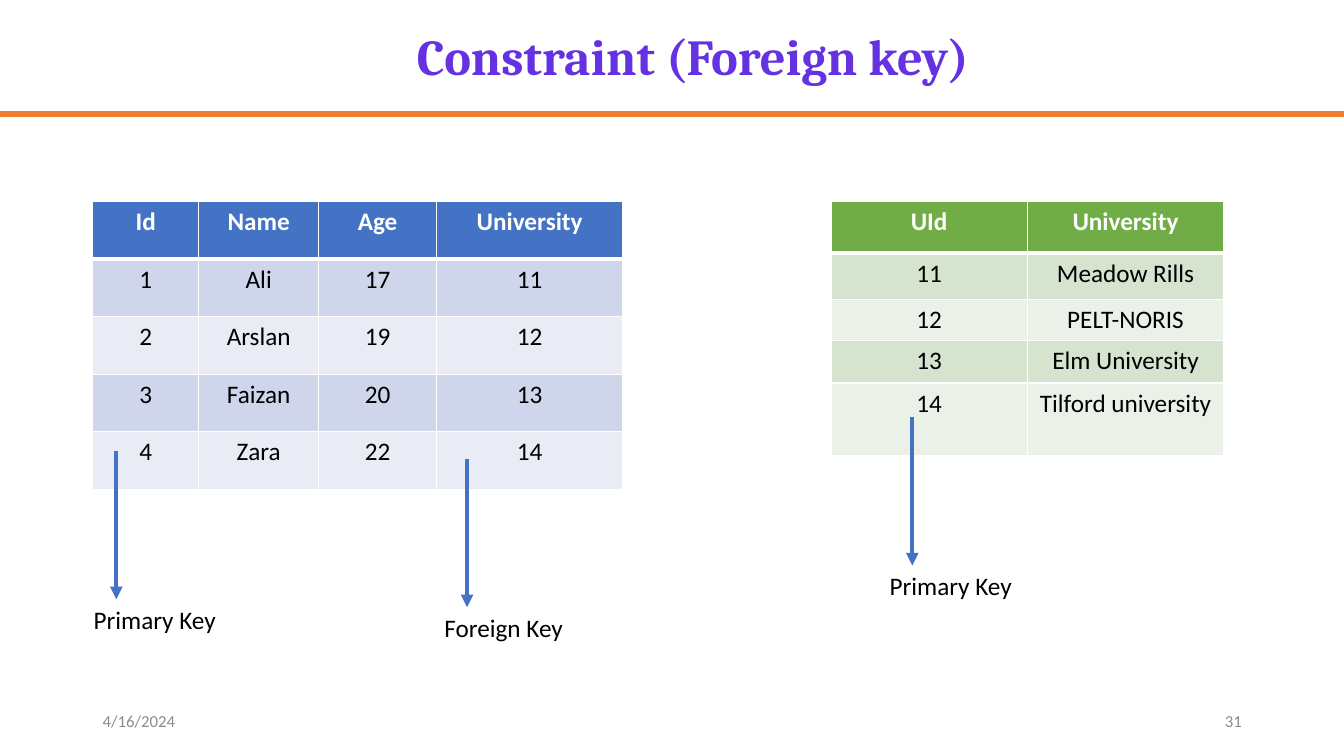
from pptx import Presentation
from pptx.dml.color import RGBColor
from pptx.enum.shapes import MSO_CONNECTOR as Link
from pptx.enum.text import MSO_ANCHOR as Anchor, MSO_AUTO_SIZE as Fit, PP_ALIGN as Align
from pptx.oxml import parse_xml
from pptx.oxml.ns import nsdecls
from pptx.util import Cm, Pt

BLUE, GREEN, ORANGE, VIOLET = "4472C4", "70AD47", "ED7D31", "6432E2"
WHITE, BLACK, GREY = "FFFFFF", "000000", "8C8C8C"


def tint(code):
    return RGBColor.from_string(code)


class Board:
    def __init__(self, slide, font="Calibri", size=18):
        self.slide, self.font, self.size = slide, font, size

    def style(self, frame, color, size=None, font=None, bold=False, align=Align.LEFT):
        for para in frame.paragraphs:
            para.alignment = align
            for run in para.runs:
                run.font.name = font or self.font
                run.font.size = Pt(size or self.size)
                run.font.bold = bold
                run.font.color.rgb = tint(color)

    def title(self, text, left, top, width, height):
        head = self.slide.shapes.title
        head.left, head.top, head.width, head.height = map(Cm, (left, top, width, height))
        frame = head.text_frame
        frame.text = text
        frame.auto_size = Fit.NONE
        frame.vertical_anchor = Anchor.MIDDLE
        frame.paragraphs[0].line_spacing = 0.9
        self.style(frame, VIOLET, 36, "Cambria", True, Align.CENTER)

    def text(self, text, left, top, width, color=BLACK, size=None,
             align=Align.LEFT, anchor=Anchor.TOP):
        box = self.slide.shapes.add_textbox(Cm(left), Cm(top), Cm(width), Cm(1.02))
        frame = box.text_frame
        frame.word_wrap = True
        frame.vertical_anchor = anchor
        frame.text = text
        self.style(frame, color, size, align=align)

    def line(self, start, end, color, weight, arrow=False):
        link = self.slide.shapes.add_connector(Link.STRAIGHT, *map(Cm, start + end))
        link.line.color.rgb = tint(color)
        link.line.width = Pt(weight)
        if arrow:
            link.line._get_or_add_ln().append(
                parse_xml(f'<a:tailEnd {nsdecls("a")} type="triangle"/>'))
        link._element.spPr.append(parse_xml(f'<a:effectLst {nsdecls("a")}/>'))

    def edges(self, cell, row):
        """Draw white cell borders, thick below the header row."""
        thick = {(0, "B"), (1, "T")}
        for spot, side in enumerate("LRTB"):
            width = Pt(3 if (row, side) in thick else 1)
            cell._tc.get_or_add_tcPr().insert(spot, parse_xml(
                f'<a:ln{side} {nsdecls("a")} w="{width}"><a:solidFill>'
                f'<a:srgbClr val="{WHITE}"/></a:solidFill></a:ln{side}>'))

    def table(self, data, left, top, widths, heights, fills):
        """Fill a table; fills holds the header, odd and even row colours."""
        head, odd, even = fills
        grid = self.slide.shapes.add_table(
            len(data), len(widths), Cm(left), Cm(top),
            Cm(sum(widths)), Cm(sum(heights))).table
        for col, width in zip(grid.columns, widths):
            col.width = Cm(width)
        for r, (line, height) in enumerate(zip(data, heights)):
            grid.rows[r].height = Cm(height)
            for c, text in enumerate(line):
                cell = grid.cell(r, c)
                cell.text = text
                cell.fill.solid()
                cell.fill.fore_color.rgb = tint(head if r == 0 else odd if r % 2 else even)
                self.edges(cell, r)
                self.style(cell.text_frame, BLACK if r else WHITE,
                           bold=r == 0, align=Align.CENTER)

    def key(self, text, left, top):
        """Label a key column with an arrow that comes down to the label."""
        self.text(text, left, top, 3.86)
        x = left + 0.82
        self.line((x, top - 3.73), (x, top), BLUE, 3, arrow=True)


def main():
    deck = Presentation()
    deck.slide_width, deck.slide_height = Cm(33.87), Cm(19.05)
    board = Board(deck.slides.add_slide(deck.slide_layouts[5]))

    board.line((0, 2.87), (33.87, 2.87), ORANGE, 4.5)
    board.text("4/16/2024", 2.34, 17.65, 7.62, GREY, 12, anchor=Anchor.MIDDLE)
    board.text("31", 23.93, 17.65, 7.62, GREY, 12, Align.RIGHT, Anchor.MIDDLE)
    board.title("Constraint (Foreign key)", 2.86, 0.38, 29.21, 2.24)

    people = [
        ("Id", "Name", "Age", "University"),
        ("1", "Ali", "17", "11"),
        ("2", "Arslan", "19", "12"),
        ("3", "Faizan", "20", "13"),
        ("4", "Zara", "22", "14"),
    ]
    schools = [
        ("UId", "University"),
        ("11", "Meadow Rills"),
        ("12", "PELT-NORIS"),
        ("13", "Elm University"),
        ("14", "Tilford university"),
    ]
    board.table(people, 2.34, 5.08, (2.67, 3.02, 2.97, 4.7), [1.45] * 5,
                (BLUE, "CFD5EA", "E9EBF5"))
    board.table(schools, 20.94, 5.08, (4.95, 4.95), (1.3, 1.16, 1.03, 1.08, 1.82),
                (GREEN, "D5E3CF", "EBF1E9"))

    board.key("Primary Key", 22.17, 14.25)
    board.key("Foreign Key", 10.95, 15.3)
    board.key("Primary Key", 2.11, 15.1)
    deck.save("out.pptx")


if __name__ == "__main__":
    main()
